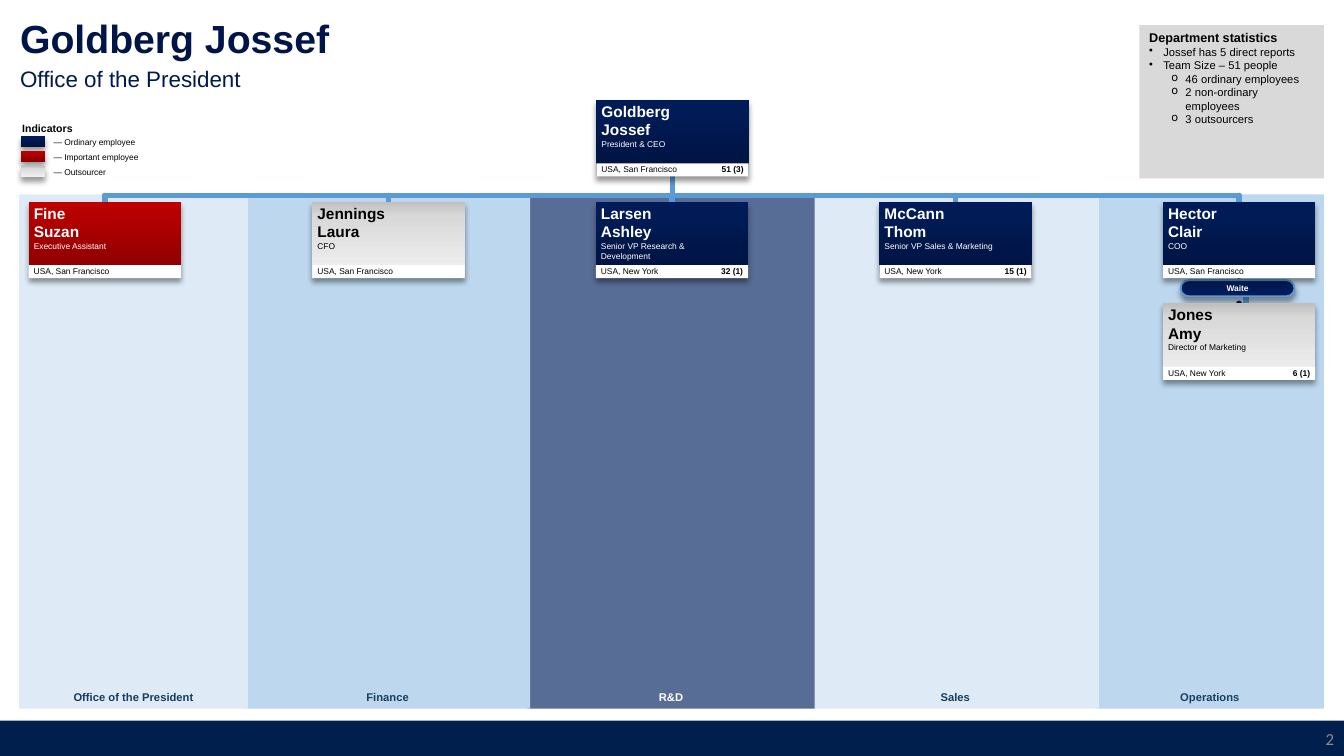
from copy import deepcopy

from lxml import etree
from pptx import Presentation
from pptx.dml.color import RGBColor
from pptx.enum.dml import MSO_LINE
from pptx.enum.shapes import MSO_CONNECTOR, MSO_SHAPE
from pptx.enum.text import MSO_ANCHOR, MSO_AUTO_SIZE, PP_ALIGN
from pptx.oxml.ns import qn
from pptx.util import Inches, Pt

RECT, PILL = MSO_SHAPE.RECTANGLE, MSO_SHAPE.ROUNDED_RECTANGLE
TOP, MIDDLE, BOTTOM = MSO_ANCHOR.TOP, MSO_ANCHOR.MIDDLE, MSO_ANCHOR.BOTTOM
LEFT, CENTER, RIGHT = PP_ALIGN.LEFT, PP_ALIGN.CENTER, PP_ALIGN.RIGHT

BLACK, WHITE, BLUE = "000000", "FFFFFF", "5B9BD5"
# kind of employee: gradient from bottom to top, text colour
KINDS = {
    "Ordinary employee": (("00123F", "001B55", "001B58"), WHITE),
    "Important employee": (("860000", "B40000", "C00000"), WHITE),
    "Outsourcer": (("F2F2F2", "D9D9D9", "BFBFBF"), BLACK),
}
ORDINARY, IMPORTANT, OUTSOURCER = KINDS

# department, left edge, fill, text colour
DEPARTMENTS = [
    ("Office of the President", 0.19, "DEEBF7", "173C5D"),
    ("Finance", 2.43, "BDD7EE", "193F61"),
    ("R&D", 5.23, "586D96", WHITE),
    ("Sales", 8.05, "DEEBF7", "173C5D"),
    ("Operations", 10.87, "BDD7EE", "193F61"),
]
DEPARTMENTS_END, OVERLAP = 13.1, 0.03

# kind, surname, first name, position, location, team size
PRESIDENT = (ORDINARY, "Goldberg", "Jossef", "President & CEO", "USA, San Francisco", "51 (3)")
REPORTS = [
    (IMPORTANT, "Fine", "Suzan", "Executive Assistant", "USA, San Francisco", ""),
    (OUTSOURCER, "Jennings", "Laura", "CFO", "USA, San Francisco", ""),
    (ORDINARY, "Larsen", "Ashley", "Senior VP Research & Development", "USA, New York", "32 (1)"),
    (ORDINARY, "McCann", "Thom", "Senior VP Sales & Marketing", "USA, New York", "15 (1)"),
    (ORDINARY, "Hector", "Clair", "COO", "USA, San Francisco", ""),
]
MARKETING = (OUTSOURCER, "Jones", "Amy", "Director of Marketing", "USA, New York", "6 (1)")

# bullet, indent, text
STATISTICS = [
    ("•", 0.14, "Jossef has 5 direct reports"),
    ("•", 0.14, "Team Size – 51 people"),
    ("o", 0.36, "46 ordinary employees"),
    ("o", 0.36, "2 non-ordinary employees"),
    ("o", 0.36, "3 outsourcers"),
]

FIRST_X, LAST_X, MIDDLE_X = 1.04, 12.29, 6.67
BUS_Y, REPORTS_Y, PRESIDENT_Y, MARKETING_Y = 1.94, 2, 0.99, 3.01
CARD_W, CARD_H, STRIP_H = 1.51, 0.76, 0.13

prs = Presentation()
prs.slide_width, prs.slide_height = Inches(13.33), Inches(7.5)
s = prs.slides.add_slide(prs.slide_layouts[5])


def rgb(color):
    return RGBColor.from_string(color)


def write(shape, lines, anchor=TOP, align=LEFT, insets=(0.1, 0.05, 0.1, 0.05), font="Arial"):
    """Fill a shape with lines of (text, size, colour, bold)."""
    tf = shape.text_frame
    tf.word_wrap, tf.auto_size, tf.vertical_anchor = True, MSO_AUTO_SIZE.NONE, anchor
    tf.margin_left, tf.margin_top, tf.margin_right, tf.margin_bottom = map(Inches, insets)
    for i, (text, size, color, bold) in enumerate(lines):
        p = tf.add_paragraph() if i else tf.paragraphs[0]
        p.alignment = align
        r = p.add_run()
        r.text = text
        r.font.name, r.font.size, r.font.bold = font, Pt(size), bold
        r.font.color.rgb = rgb(color)


def add_text(box, lines, **layout):
    write(s.shapes.add_textbox(*map(Inches, box)), lines, **layout)


def add_box(box, fill, kind=RECT):
    sp = s.shapes.add_shape(kind, *map(Inches, box))
    sp.shadow.inherit = False
    sp.line.fill.background()
    if isinstance(fill, str):
        sp.fill.solid()
        sp.fill.fore_color.rgb = rgb(fill)
        return sp
    sp.fill.gradient()
    sp.fill.gradient_angle = 90
    stops = sp._element.spPr.find(".//" + qn("a:gsLst"))
    stops.append(deepcopy(stops[-1]))
    for stop, position, color in zip(sp.fill.gradient_stops, (0, 0.8, 1), fill):
        stop.position, stop.color.rgb = position, rgb(color)
    return sp


def add_shadow(sp):
    effects = sp._element.spPr.find(qn("a:effectLst"))
    shadow = etree.SubElement(effects, qn("a:outerShdw"), blurRad=str(Pt(4)), dist=str(Pt(3)),
                              dir="5400000", algn="t", rotWithShape="0")
    color = etree.SubElement(shadow, qn("a:srgbClr"), val=BLACK)
    etree.SubElement(color, qn("a:alpha"), val="40000")


def add_line(x1, y1, x2, y2, color=BLUE, dash=None):
    line = s.shapes.add_connector(MSO_CONNECTOR.STRAIGHT, *map(Inches, (x1, y1, x2, y2)))
    line.line.color.rgb, line.line.width = rgb(color), Pt(4)
    if dash:
        line.line.dash_style = dash
    line.line._get_or_add_ln().set("cap", "rnd")
    etree.SubElement(line._element.spPr, qn("a:effectLst"))


def add_card(center, top, person):
    kind, surname, name, position, location, team = person
    gradient, color = KINDS[kind]
    left, strip_top = center - CARD_W / 2, top + CARD_H - STRIP_H
    add_shadow(add_box((left, top, CARD_W, CARD_H), gradient))
    add_box((left, strip_top, CARD_W, STRIP_H), WHITE)
    add_text((left, strip_top, 1.1, STRIP_H), [(location, 6, BLACK, False)],
             anchor=BOTTOM, insets=(0.05, 0, 0, 0.02))
    if team:
        add_text((left + 1.11, strip_top, 0.4, STRIP_H), [(team, 6, BLACK, True)],
                 anchor=BOTTOM, align=RIGHT, insets=(0, 0, 0.05, 0.02))
    add_text((left, top, 1.22, 0.62),
             [(surname, 11, color, True), (name, 11, color, True), (position, 6, color, False)],
             insets=(0.05, 0.02, 0, 0))


# Footer and headings
add_box((0, 7.15, 13.33, 0.35), "011F4D")
add_text((10.33, 7.15, 3, 0.35), [("2", 12, "8C8C8C", False)],
         anchor=MIDDLE, align=RIGHT, font="Calibri")
title = s.shapes.title
title.left, title.top, title.width, title.height = map(Inches, (0, 0, 11.3, 0.7))
write(title, [("Goldberg Jossef", 28, "001547", True)], insets=(0.2, 0.14, 0.08, 0.05))
add_text((0, 0.6, 11.3, 0.49), [("Office of the President", 16, "001950", False)],
         insets=(0.2, 0.05, 0.1, 0.05))

# Department columns, each overlapping the one on its right
right = DEPARTMENTS_END
for department, left, fill, color in reversed(DEPARTMENTS):
    column = add_box((left, 1.93, right - left + OVERLAP, 5.1), fill)
    write(column, [(department, 8, color, True)], anchor=BOTTOM, align=CENTER)
    right = left

# Organisation chart
add_line(LAST_X, MARKETING_Y, LAST_X, REPORTS_Y + CARD_H, "002060", MSO_LINE.ROUND_DOT)
add_line(LAST_X + 0.07, MARKETING_Y, LAST_X + 0.07, 2.88)
assistant = add_box((11.71, 2.78, 1.13, 0.16), "001B57", PILL)
assistant.adjustments[0] = 0.5
assistant.line.color.rgb, assistant.line.width = rgb(BLUE), Pt(1.33)
add_shadow(assistant)
write(assistant, [("Waite", 6, WHITE, True)], anchor=MIDDLE, align=CENTER, insets=(0.04,) * 4)
add_card(LAST_X, MARKETING_Y, MARKETING)

pitch = (LAST_X - FIRST_X) / (len(REPORTS) - 1)
for i, person in enumerate(REPORTS):
    center = FIRST_X + i * pitch
    add_line(center, REPORTS_Y, center, BUS_Y)
    add_card(center, REPORTS_Y, person)
add_line(FIRST_X, BUS_Y, LAST_X, BUS_Y)
add_line(MIDDLE_X, BUS_Y, MIDDLE_X, 1.72)
add_card(MIDDLE_X, PRESIDENT_Y, PRESIDENT)

# Legend
add_text((0.22, 1.21, 1.74, 0.13), [("Indicators", 7.5, BLACK, True)], insets=(0, 0, 0.1, 0.05))
for i, (kind, (gradient, _)) in enumerate(KINDS.items()):
    top = 1.35 + i * 0.15
    add_shadow(add_box((0.21, top, 0.24, 0.11), gradient))
    add_text((0.41, top + 0.01, 1.93, 0.09), [(f" — {kind}", 6, BLACK, False)],
             insets=(0.1, 0, 0.1, 0.05))

# Statistics
statistics = add_box((11.3, 0.25, 1.83, 1.52), "D9D9D9")
write(statistics, [("Department statistics", 9, BLACK, True)]
      + [(text, 8, BLACK, False) for _, _, text in STATISTICS])
for p, (bullet, indent, _) in zip(statistics.text_frame.paragraphs[1:], STATISTICS):
    pPr = p._p.get_or_add_pPr()
    pPr.set("marL", str(Inches(indent)))
    pPr.set("indent", str(Inches(-0.14)))
    etree.SubElement(pPr, qn("a:buChar"), char=bullet)

prs.save("out.pptx")
